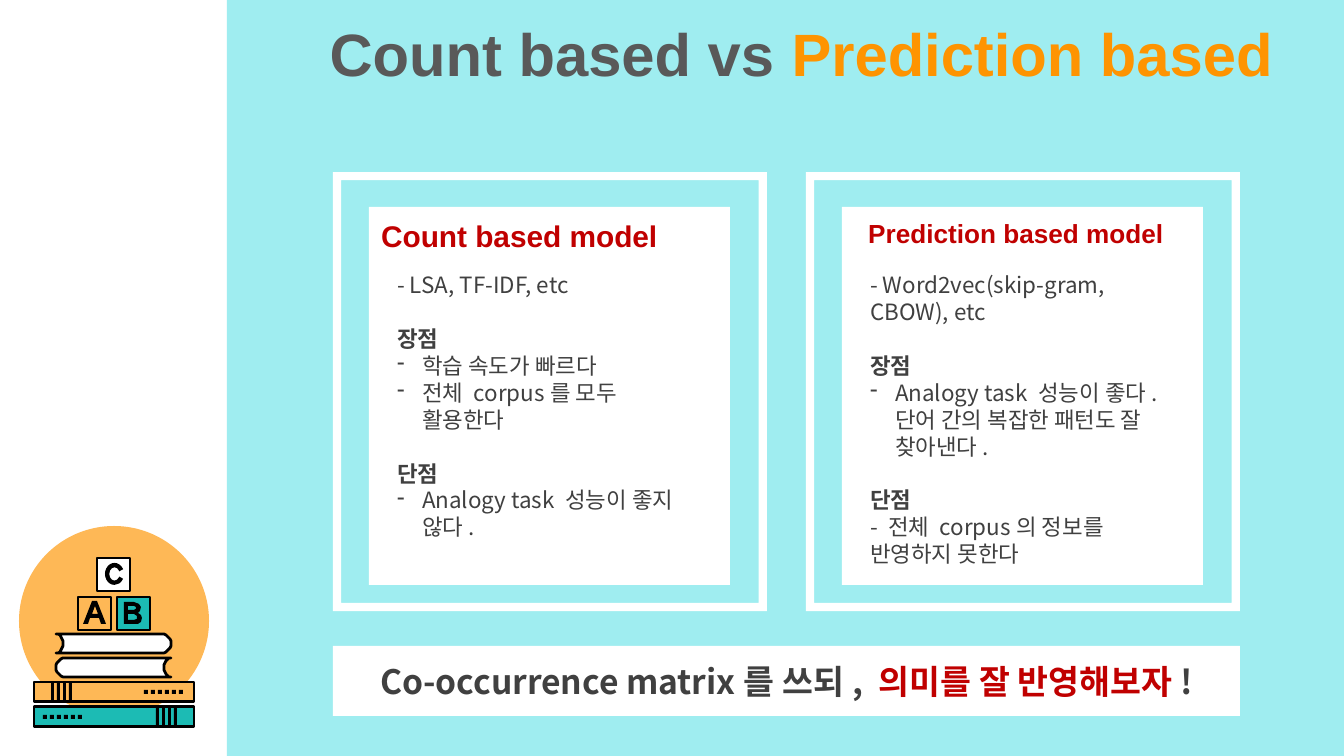
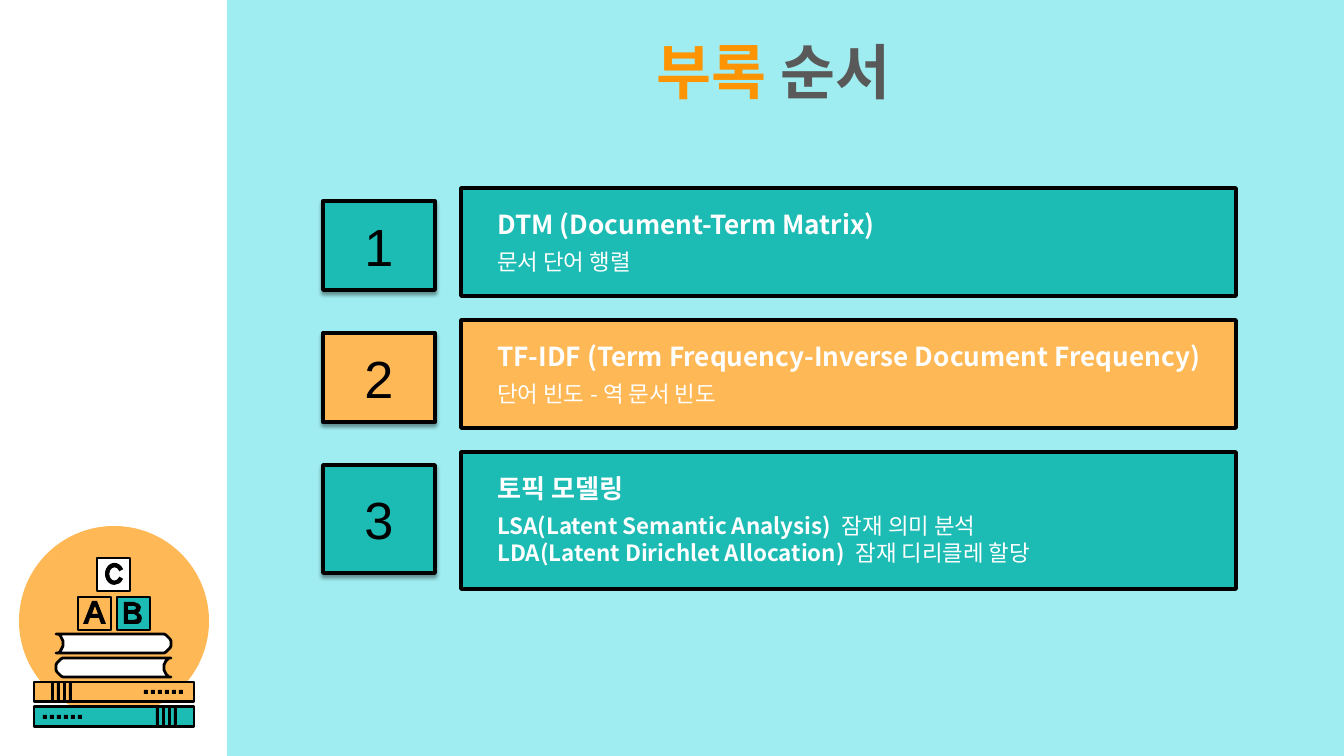
"""Build two slides on count based and prediction based word models."""
from math import cos, pi, sin

from lxml import etree
from pptx import Presentation
from pptx.dml.color import RGBColor
from pptx.enum.shapes import MSO_SHAPE
from pptx.enum.text import MSO_ANCHOR, PP_ALIGN
from pptx.oxml.ns import qn
from pptx.util import Pt

PX = 914400 / 134.4
RECT, OVAL, FRAME, ARC = (MSO_SHAPE.RECTANGLE, MSO_SHAPE.OVAL,
                          MSO_SHAPE.FRAME, MSO_SHAPE.BLOCK_ARC)
LEFT, CENTER = PP_ALIGN.LEFT, PP_ALIGN.CENTER
TOP, MIDDLE = MSO_ANCHOR.TOP, MSO_ANCHOR.MIDDLE
LATIN, HANGUL = "Arial", "Noto Sans CJK KR"

WHITE = RGBColor(0xFF, 0xFF, 0xFF)
BLACK = RGBColor(0x00, 0x00, 0x00)
SKY = RGBColor(0x9F, 0xED, 0xF0)
AMBER = RGBColor(0xFE, 0xB8, 0x56)
TEAL = RGBColor(0x1C, 0xBB, 0xB4)
ORANGE = RGBColor(0xFE, 0x94, 0x01)
GRAY = RGBColor(0x59, 0x59, 0x59)
INK = RGBColor(0x40, 0x40, 0x40)
RED = RGBColor(0xC0, 0x00, 0x00)


def block(slide, outline, frame=None, fill=None, line_width=0):
    if outline is None:
        return slide.shapes.add_textbox(*[round(v * PX) for v in frame])
    if isinstance(outline, list):
        builder = slide.shapes.build_freeform(*outline[0][0], scale=PX)
        for contour in outline:
            builder.move_to(*contour[0])
            builder.add_line_segments(contour[1:], close=True)
        shape = builder.convert_to_shape()
    else:
        shape = slide.shapes.add_shape(outline, *[round(v * PX) for v in frame])
    shape.shadow.inherit = False
    shape.fill.solid()
    shape.fill.fore_color.rgb = fill
    if line_width:
        shape.line.color.rgb = BLACK
        shape.line.width = Pt(line_width)
    else:
        shape.line.fill.background()
    return shape


def write(shape, lines, size, face=HANGUL, align=LEFT, anchor=TOP):
    frame = shape.text_frame
    frame.word_wrap = True
    frame.vertical_anchor = anchor
    for number, runs in enumerate(lines):
        paragraph = frame.add_paragraph() if number else frame.paragraphs[0]
        paragraph.alignment = align
        if face == HANGUL:
            paragraph.line_spacing = Pt(size * 1.2)
        for text, color, bold in runs:
            run = paragraph.add_run()
            run.text = text
            run.font.size = Pt(size)
            run.font.bold = bold
            run.font.color.rgb = color
            run.font.name = face
            latin = run.font._element.find(qn("a:latin"))
            latin.addnext(latin.makeelement(qn("a:ea"), {"typeface": face}))
    return frame.paragraphs


half_turn = [pi * step / 12 for step in range(13)]
upper_book = ([(161 + 10 * sin(a), 643.5 - 9.5 * cos(a)) for a in half_turn]
              + [(56 + 7 * sin(a), 643.5 + 9.5 * cos(a)) for a in half_turn])
lower_book = [(227 - x, y + 24) for x, y in upper_book]
letter_a = [[(92, 601), (97, 601), (106, 624), (101, 624), (99, 618),
             (90, 618), (88, 624), (83, 624)],
            [(95, 606), (92, 614), (98, 614)]]
letter_b = [[(124, 602), (134, 602), (139, 604), (141, 607), (140, 611),
             (138, 613), (141, 615), (142, 618), (141, 622), (138, 624), (124, 624)],
            [(128, 614), (128, 620), (134, 620), (137, 619), (137, 616), (134, 614)],
            [(128, 606), (128, 610), (134, 610), (136, 609), (136, 607), (134, 606)]]
spines = [(682, AMBER, 51, 144), (707, TEAL, 156, 43)]
toy_blocks = [(78, 597, AMBER), (117, 597, TEAL), (97, 558, WHITE)]

titles = [
    (259, 4, LATIN, [("Count based vs ", GRAY, True), ("Prediction based", ORANGE, True)]),
    (238, 22, HANGUL, [("부록 ", ORANGE, True), ("순서 ", GRAY, True)]),
]

deck = Presentation()
deck.slide_width = round(1344 * PX)
deck.slide_height = round(756 * PX)

for title_x, title_y, face, title_runs in titles:
    slide = deck.slides.add_slide(deck.slide_layouts[6])
    block(slide, RECT, (227, 0, 1117, 756), SKY)
    block(slide, OVAL, (19, 526, 190, 190), AMBER)
    for y, color, stripe_x, dot_x in spines:
        block(slide, RECT, (34, y, 160, 20), color, 1.5)
        for i in range(4):
            block(slide, RECT, (stripe_x + 6 * i, y, 3, 20), BLACK)
        for i in range(6):
            block(slide, RECT, (dot_x + 7 * i, y + 8, 4, 4), BLACK)
    for x, y, color in toy_blocks:
        block(slide, RECT, (x, y, 33, 33), color, 1.5)
    for letter in (letter_a, letter_b):
        block(slide, letter, fill=BLACK)
    letter_c = block(slide, ARC, (105, 563, 19, 22), BLACK)
    for i, value in enumerate((17.567, 198.895, 0.228)):
        letter_c.adjustments[i] = value
    for book in (upper_book, lower_book):
        block(slide, [book], fill=WHITE, line_width=1.5)
    title = block(slide, None, (title_x, title_y, 1085, 114))
    title.text_frame.margin_top = round(13 * PX)
    write(title, [title_runs], 32, face, CENTER)

comparison, appendix = deck.slides

cards = [
    (333, 368, 384, "Count based model", 16, 50, 285, [
        "- LSA, TF-IDF, etc",
        "장점", "•학습 속도가 빠르다", "•전체 corpus를 모두 활용한다",
        "단점", "•Analogy task 성능이 좋지 않다."]),
    (806, 855, 857, "Prediction based model", 14, 46, 312, [
        "- Word2vec(skip-gram, CBOW), etc",
        "장점", "•Analogy task 성능이 좋다. 단어 간의 복잡한 패턴도 잘 찾아낸다.",
        "단점", "- 전체 corpus의 정보를 반영하지 못한다"]),
]
for x, heading_x, body_x, heading, size, heading_h, body_h, points in cards:
    border = block(comparison, FRAME, (x, 172, 434, 439), WHITE)
    border.adjustments[0] = 0.019
    block(comparison, RECT, (x + 36, 207, 361, 378), WHITE)
    body = block(comparison, None, (body_x, 265, 332, body_h))
    lines = [[(point.lstrip("•"), INK, point in ("장점", "단점"))] for point in points]
    for point, paragraph in zip(points, write(body, lines, 12)):
        if point in ("장점", "단점"):
            paragraph.space_before = Pt(14.4)
        if point.startswith("•"):
            properties = paragraph._p.get_or_add_pPr()
            properties.set("marL", str(round(25 * PX)))
            properties.set("indent", str(round(-25 * PX)))
            etree.SubElement(properties, qn("a:buChar"), char="-")
    write(block(comparison, None, (heading_x, 211, 332, heading_h)),
          [[(heading, RED, True)]], size, LATIN)

conclusion = block(comparison, RECT, (333, 646, 907, 70), WHITE)
write(conclusion, [[("Co-occurrence matrix를 쓰되, ", INK, True),
                    ("의미를 잘 반영해보자", RED, True), ("!", INK, True)]],
      18, HANGUL, CENTER, MIDDLE)

topics = [
    (TEAL, 108, 89, 699, "DTM (Document-Term Matrix)", [[("문서 단어 행렬", WHITE, False)]]),
    (AMBER, 108, 89, 753, "TF-IDF (Term Frequency-Inverse Document Frequency)",
     [[("단어 빈도-역 문서 빈도", WHITE, False)]]),
    (TEAL, 137, 108, 699, "토픽 모델링", [
        [("LSA(Latent Semantic Analysis) ", WHITE, True), ("잠재 의미 분석", WHITE, False)],
        [("LDA(Latent Dirichlet Allocation) ", WHITE, True),
         ("잠재 디리클레 할당", WHITE, False)]]),
]
y = 188
for number, (color, bar_h, number_h, text_w, topic, details) in enumerate(topics, 1):
    badge = block(appendix, RECT, (323, y + 13, 112, number_h), color, 2)
    effects = badge._element.spPr.find(qn("a:effectLst"))
    shadow = etree.SubElement(effects, qn("a:outerShdw"), blurRad=str(Pt(2)),
                              dist=str(Pt(1.5)), dir="5400000", rotWithShape="0")
    shade = etree.SubElement(shadow, qn("a:srgbClr"), val=str(BLACK))
    etree.SubElement(shade, qn("a:alpha"), val="40000")
    write(badge, [[(str(number), BLACK, False)]], 28, LATIN, CENTER, MIDDLE)
    block(appendix, RECT, (461, y, 775, bar_h), color, 2)
    write(block(appendix, None, (484, y + 14, text_w, 46)), [[(topic, WHITE, True)]], 14)
    write(block(appendix, None, (484, y + 54, text_w, 13 + 27 * len(details))), details, 12)
    y += bar_h + 24

deck.save("out.pptx")
